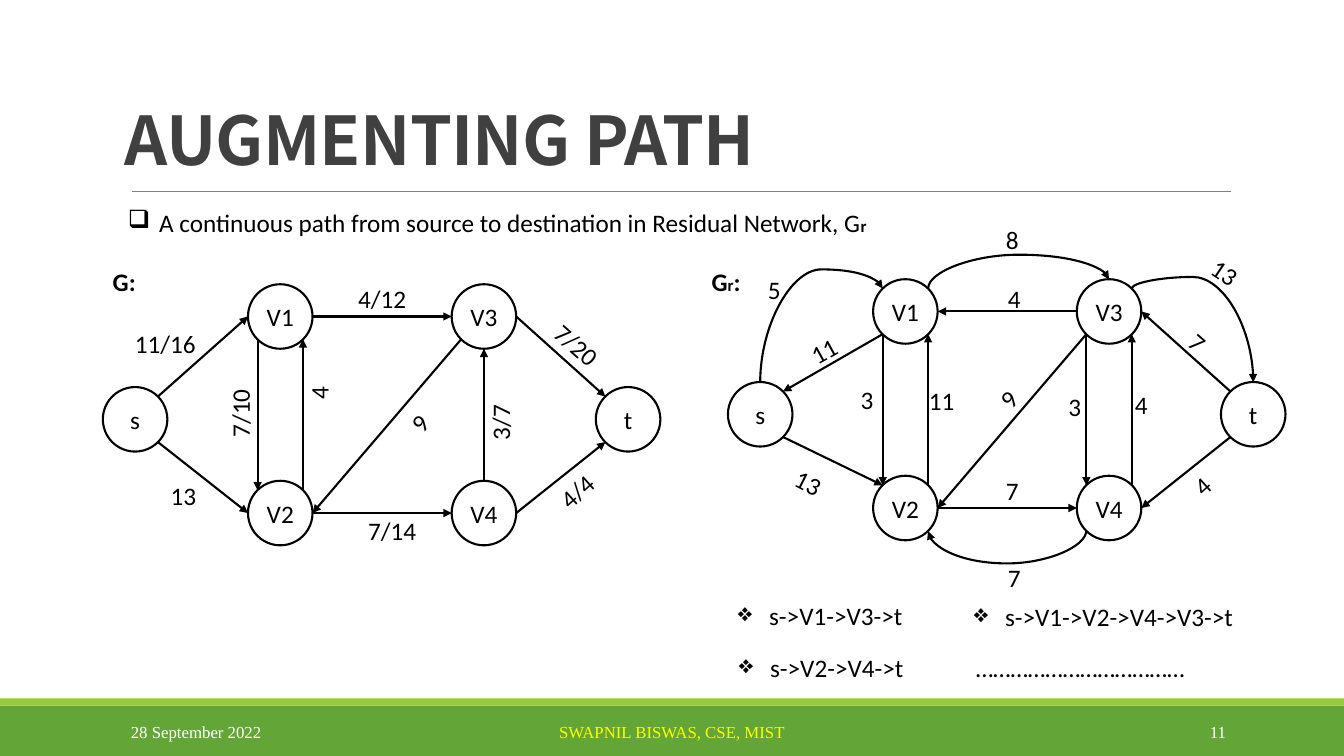
import lxml.etree
import pptx
import pptx.dml.color
import pptx.enum.shapes
import pptx.enum.text
import pptx.oxml.ns
import pptx.util

Inches = pptx.util.Inches
PP_ALIGN = pptx.enum.text.PP_ALIGN
ANCHOR = pptx.enum.text.MSO_ANCHOR
SHAPE = pptx.enum.shapes.MSO_SHAPE
CONNECTOR = pptx.enum.shapes.MSO_CONNECTOR

BLACK = "000000"
DIAMETER = 0.64
DIAGONAL = 0.225
LINE_HEIGHT = 0.4

# Node centres of G; the residual network repeats them at an offset.
NODES = {"s": (1.34, 4.16), "V1": (2.78, 3.14), "V2": (2.78, 5.09),
         "V3": (4.8, 3.14), "V4": (4.8, 5.09), "t": (6.23, 4.16)}
PORTS = {"N": (0, -DIAMETER / 2), "S": (0, DIAMETER / 2),
         "W": (-DIAMETER / 2, 0), "E": (DIAMETER / 2, 0),
         "NW": (-DIAGONAL, -DIAGONAL), "NE": (DIAGONAL, -DIAGONAL),
         "SW": (-DIAGONAL, DIAGONAL), "SE": (DIAGONAL, DIAGONAL)}

# Edge: from, port, to, port, label, label centre, label angle, bulge height of a curve
FLOW = [
    ("s", "NE", "V1", "W", "11/16", (1.64, 3.41), 0, None),
    ("V1", "E", "V3", "W", "4/12", (3.79, 2.96), 0, None),
    ("V3", "E", "t", "NW", "7/20", (5.72, 3.42), 41.5, None),
    ("s", "SE", "V2", "W", "13", (1.82, 4.92), 0, None),
    ("V2", "E", "V4", "W", "7/14", (3.89, 5.26), 0, None),
    ("V4", "E", "t", "SW", "4/4", (5.72, 4.87), 318.3, None),
    ("V1", "SW", "V2", "NW", "7/10", (2.38, 4.1), 270, None),
    ("V2", "NE", "V1", "SE", "4", (3.16, 3.9), 270, None),
    ("V3", "SW", "V2", "E", "9", (4.16, 4.2), 311.6, None),
    ("V4", "N", "V3", "S", "3/7", (4.96, 4.19), 270, None),
]
RESIDUAL = [
    ("s", "N", "V1", "NW", "5", (7.68, 2.87), 0, 2.67),
    ("V1", "SW", "s", "NE", "11", (8.17, 3.48), 331.1, None),
    ("V1", "NE", "V3", "N", "8", (10.04, 2.38), 0, 2.53),
    ("V3", "W", "V1", "E", "4", (10.06, 2.96), 0, None),
    ("V3", "NE", "t", "N", "13", (12.15, 2.7), 33.8, 2.75),
    ("t", "NW", "V3", "E", "7", (11.88, 3.4), 41.6, None),
    ("s", "SE", "V2", "NW", "13", (8.02, 4.79), 26.8, None),
    ("V3", "SW", "V2", "E", "9", (10, 3.96), 310.8, None),
    ("V2", "E", "V4", "W", "7", (10.04, 4.87), 0, None),
    ("V4", "SW", "V2", "SE", "7", (10.06, 5.73), 0, 5.6),
    ("t", "SW", "V4", "E", "4", (11.92, 4.82), 317.9, None),
    ("V3", "SW", "V4", "NW", "3", (10.66, 4.03), 0, None),
    ("V4", "NE", "V3", "SE", "4", (11.32, 4.01), 0, None),
    ("V1", "SW", "V2", "NW", "3", (8.6, 3.96), 0, None),
    ("V2", "NE", "V1", "SE", "11", (9.34, 3.97), 0, None),
]
GRAPHS = [((0, 0), FLOW), ((6.2, -0.05), RESIDUAL)]

# Body text: left, top, width, runs of (text, size, bold), bullet
BODY = [
    (1.02, 2.59, 0.43, [("G:", 18, True)], None),
    (6.96, 2.59, 0.49, [("G", 18, True), ("r", 12, True), (":", 18, True)], None),
    (1.17, 2.01, 7.62, [("A continuous path from source to destination in Residual "
                         "Network, G", 18, False), ("r", 12, True)], "❑"),
    (7.22, 5.91, 1.85, [("s->V1->V3->t", 18, False)], "❖"),
    (9.56, 5.92, 2.8, [("s->V1->V2->V4->V3->t", 18, False)], "❖"),
    (7.23, 6.42, 1.85, [("s->V2->V4->t", 18, False)], "❖"),
    (9.58, 6.42, 2.3, [("…" * 12, 18, False)], None),
]
# Footer: left, width, text, colour, alignment
FOOTER = [
    (1.2, 2.7, "28 September 2022", "FFFFFF", PP_ALIGN.LEFT),
    (4.03, 5.27, "SWAPNIL BISWAS, CSE, MIST", "FFFF00", PP_ALIGN.CENTER),
    (10.83, 1.43, "11", "FFFFFF", PP_ALIGN.RIGHT),
]


def rgb(value):
    """Turn a hex string into a colour."""
    return pptx.dml.color.RGBColor.from_string(value)


def add_xml(parent, tag, **attrs):
    """Append a drawing element with the given attributes."""
    return lxml.etree.SubElement(parent, pptx.oxml.ns.qn(tag), attrs)


def write(sp, runs, color=BLACK, font="Calibri", align=PP_ALIGN.LEFT,
          anchor=ANCHOR.TOP, wrap=False):
    """Write one paragraph of (text, size, bold) runs into a shape."""
    tf = sp.text_frame
    tf.word_wrap, tf.vertical_anchor = wrap, anchor
    p = tf.paragraphs[0]
    p.alignment = align
    for text, size, bold in runs:
        r = p.add_run()
        r.text = text
        r.font.size, r.font.bold, r.font.name = pptx.util.Pt(size), bold, font
        r.font.color.rgb = rgb(color)
    return p


def add_text(s, x, y, w, h, runs, **style):
    """Add a text box and return it with its paragraph."""
    sp = s.shapes.add_textbox(Inches(x), Inches(y), Inches(w), Inches(h))
    return sp, write(sp, runs, **style)


def add_bar(s, y, h, color):
    """Add a full-width band."""
    sp = s.shapes.add_shape(SHAPE.RECTANGLE, 0, Inches(y), prs.slide_width, Inches(h))
    sp.shadow.inherit = False
    sp.fill.solid()
    sp.fill.fore_color.rgb = rgb(color)
    sp.line.fill.background()


def add_node(s, name, x, y):
    """Add a named circle centred on a point."""
    d = Inches(DIAMETER)
    sp = s.shapes.add_shape(SHAPE.OVAL, Inches(x) - d // 2, Inches(y) - d // 2, d, d)
    sp.shadow.inherit = False
    sp.fill.background()
    sp.line.color.rgb, sp.line.width = rgb(BLACK), pptx.util.Pt(1.5)
    tf = sp.text_frame
    tf.margin_left = tf.margin_right = tf.margin_top = tf.margin_bottom = 0
    write(sp, [(name, 18, False)], align=PP_ALIGN.CENTER, anchor=ANCHOR.MIDDLE)


def add_line(s, start, end, color=BLACK, width=1.5, arrow=True, kind=CONNECTOR.STRAIGHT):
    """Add a connector, with an arrowhead at its end if wanted."""
    cxn = s.shapes.add_connector(kind, *(Inches(v) for v in (*start, *end)))
    cxn.line.color.rgb, cxn.line.width = rgb(color), pptx.util.Pt(width)
    if arrow:
        add_xml(cxn.line._get_or_add_ln(), "a:tailEnd", type="triangle")
    add_xml(cxn._element.spPr, "a:effectLst")
    return cxn


def add_curve(s, start, end, bulge):
    """Add a curved arrow that leaves and arrives vertically, reaching the bulge height."""
    (x1, y1), (x2, y2) = start, end
    dx, dy = x2 - x1, round(y2 - y1, 2) or 0.01
    w, h = abs(dy), abs(dx)
    cxn = add_line(s, start, end, kind=CONNECTOR.CURVE)
    cxn.left, cxn.top = Inches((x1 + x2 - w) / 2), Inches((y1 + y2 - h) / 2)
    cxn.width, cxn.height = Inches(w), Inches(h)
    xfrm = cxn._element.spPr.find(pptx.oxml.ns.qn("a:xfrm"))
    xfrm.set("rot", str(90 * 60000))
    xfrm.set("flipH", str(int(dy < 0)))
    xfrm.set("flipV", str(int(dx > 0)))
    guides = cxn._element.spPr.find(".//" + pptx.oxml.ns.qn("a:avLst"))
    add_xml(guides, "a:gd", name="adj1", fmla=f"val {round((bulge - y1) / dy * 100000)}")


def add_graph(s, offset, edges):
    """Draw the nodes, arrows and edge labels of one network."""
    centres = {n: (x + offset[0], y + offset[1]) for n, (x, y) in NODES.items()}
    for name, (x, y) in centres.items():
        add_node(s, name, x, y)
    for a, port_a, b, port_b, label, (x, y), angle, bulge in edges:
        start, end = ([c + d for c, d in zip(centres[n], PORTS[port])]
                      for n, port in ((a, port_a), (b, port_b)))
        if bulge is None:
            add_line(s, start, end)
        else:
            add_curve(s, start, end, bulge)
        w = 0.24 + 0.13 * len(label)
        sp, p = add_text(s, x - w / 2, y - LINE_HEIGHT / 2, w, LINE_HEIGHT,
                         [(label, 18, False)], align=PP_ALIGN.CENTER)
        sp.rotation = angle


prs = pptx.Presentation()
prs.slide_width, prs.slide_height = Inches(13.33), Inches(7.5)
s = prs.slides.add_slide(prs.slide_layouts[6])

add_bar(s, 7, 0.5, "63A537")
add_bar(s, 6.93, 0.07, "99CB38")
add_line(s, (1.31, 1.9), (12.21, 1.9), "808080", 0.5, arrow=False)

sp, p = add_text(s, 1.14, 0.38, 10.67, 1.45, [("AUGMENTING PATH", 48, True)], color="404040",
                 font="Noto Sans CJK SC", anchor=ANCHOR.BOTTOM, wrap=True)
p.line_spacing = 0.85
p.runs[0].font._element.set("spc", "-50")

for offset, edges in GRAPHS:
    add_graph(s, offset, edges)

for x, y, w, runs, bullet in BODY:
    sp, p = add_text(s, x, y, w, LINE_HEIGHT, runs)
    if bullet:
        pPr = p._p.get_or_add_pPr()
        pPr.set("marL", str(Inches(0.31)))
        pPr.set("indent", str(-Inches(0.31)))
        add_xml(pPr, "a:buChar", char=bullet)

for x, w, text, color, align in FOOTER:
    add_text(s, x, 7.06, w, LINE_HEIGHT, [(text, 12, False)], color=color,
             font="Times New Roman", align=align, anchor=ANCHOR.MIDDLE, wrap=True)

prs.save("out.pptx")
